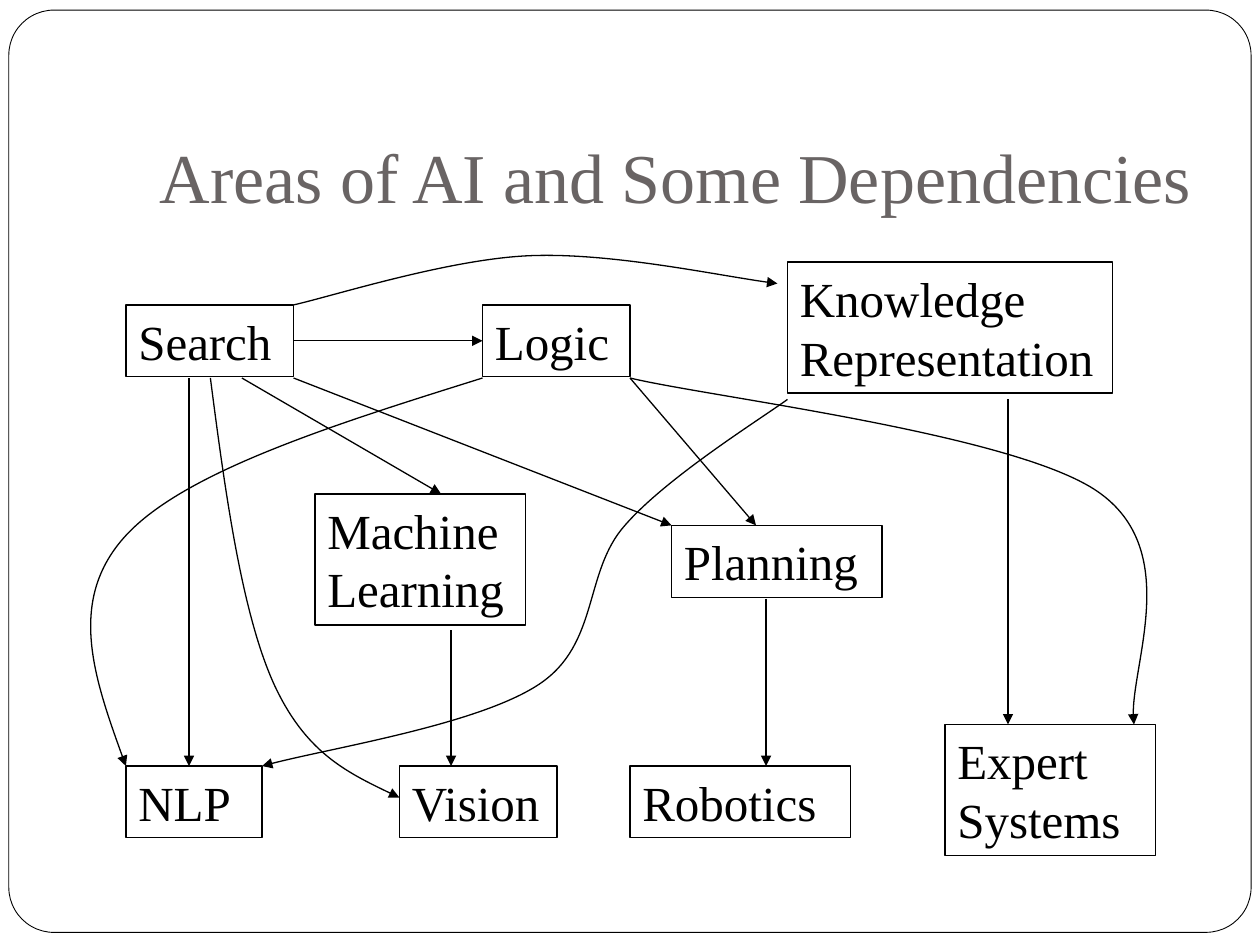
from pptx import Presentation
from pptx.dml.color import RGBColor
from pptx.enum.shapes import MSO_CONNECTOR, MSO_SHAPE
from pptx.enum.text import MSO_ANCHOR, MSO_AUTO_SIZE, PP_ALIGN
from pptx.oxml.ns import qn
from pptx.util import Inches, Pt
from lxml.etree import SubElement

FONT = "Times New Roman"
BLACK, WHITE, GRAY = "000000", "FFFFFF", "696464"
SHORT, TALL = 0.57, 1.04

# label: left, top, width, height
AREAS = {
    "Search": (1, 2.42, 1.33, SHORT),
    "Vision": (3.17, 6.08, 1.25, SHORT),
    "Planning": (5.33, 4.17, 1.67, SHORT),
    "Machine Learning": (2.5, 3.92, 1.67, TALL),
    "Knowledge Representation": (6.25, 2.08, 2.58, TALL),
    "Logic": (3.83, 2.42, 1.17, SHORT),
    "Expert Systems": (7.5, 5.75, 1.67, TALL),
    "Robotics": (5, 6.08, 1.75, SHORT),
    "NLP": (1, 6.08, 1.08, SHORT),
}

STRAIGHT = [
    ((1.5, 3), (1.5, 6.08)),      # Search to NLP
    ((2.33, 3), (5.33, 4.17)),    # Search to Planning
    ((1.92, 3), (3.5, 3.92)),     # Search to Machine Learning
    ((5, 3), (6, 4.17)),          # Logic to Planning
    ((8, 3.17), (8, 5.75)),       # Knowledge Representation to Expert Systems
    ((3.58, 5), (3.58, 6.08)),    # Machine Learning to Vision
    ((6.08, 4.75), (6.08, 6.08)), # Planning to Robotics
]

# start point, then three points for each Bezier segment
CURVES = [
    # Search to Knowledge Representation
    [(2.33, 2.42), (2.64, 2.35), (3.55, 2.06), (4.19, 2.03),
     (4.83, 2), (5.76, 2.2), (6.17, 2.25)],
    # Search to Vision
    [(1.67, 3), (1.79, 3.93), (1.92, 4.86), (2.17, 5.42),
     (2.42, 5.97), (2.79, 6.15), (3.17, 6.33)],
    # Logic to NLP
    [(3.83, 3), (2.65, 3.37), (1.47, 3.74), (1, 4.25),
     (0.53, 4.76), (0.76, 5.42), (1, 6.08)],
    # Logic to Expert Systems
    [(5, 3), (5.62, 3.15), (8.04, 3.44), (8.71, 3.9),
     (9.38, 4.36), (8.94, 5.36), (9, 5.75)],
    # Knowledge Representation to NLP
    [(6.25, 3.17), (6.03, 3.33), (5.29, 3.79), (4.96, 4.17),
     (4.63, 4.54), (4.76, 5.11), (4.28, 5.43),
     (3.8, 5.75), (2.54, 5.95), (2.08, 6.08)],
]


def rgb(color):
    return RGBColor.from_string(color)


def inches(values):
    return [Inches(v) for v in values]


def set_line(s, width):
    s.line.color.rgb = rgb(BLACK)
    s.line.width = Pt(width)


def write(s, text, size, color, anchor):
    tf = s.text_frame
    tf.word_wrap = True
    tf.vertical_anchor = anchor
    p = tf.paragraphs[0]
    p.alignment = PP_ALIGN.LEFT
    r = p.add_run()
    r.text = text
    r.font.name = FONT
    r.font.size = Pt(size)
    r.font.color.rgb = rgb(color)
    return tf


def add_frame(slide):
    s = slide.shapes.add_shape(MSO_SHAPE.ROUNDED_RECTANGLE,
                               *inches((0.07, 0.08, 9.86, 7.32)))
    s.adjustments[0] = 0.049
    s.shadow.inherit = False
    s.fill.solid()
    s.fill.fore_color.rgb = rgb(WHITE)
    set_line(s, 0.5)


def add_title(slide, text):
    s = slide.shapes.add_textbox(*inches((1.17, 0.23, 8.61, 1.6)))
    tf = write(s, text, 40, GRAY, MSO_ANCHOR.BOTTOM)
    tf.margin_bottom = Inches(0.1)


def add_area(slide, label, box):
    s = slide.shapes.add_shape(MSO_SHAPE.RECTANGLE, *inches(box))
    s.shadow.inherit = False
    s.fill.background()
    set_line(s, 0.75)
    tf = write(s, label, 28, BLACK, MSO_ANCHOR.TOP)
    tf.auto_size = MSO_AUTO_SIZE.SHAPE_TO_FIT_TEXT
    return s


def style_arrow(s):
    """Give a connector or curve its line and arrowhead, without shadow."""
    set_line(s, 0.75)
    sp_pr = s._element.spPr
    SubElement(sp_pr.find(qn("a:ln")), qn("a:tailEnd"), type="triangle")
    SubElement(sp_pr, qn("a:effectLst"))


def add_arrow(slide, start, end):
    s = slide.shapes.add_connector(MSO_CONNECTOR.STRAIGHT,
                                   *inches(start + end))
    style_arrow(s)
    return s


def add_curve(slide, points):
    """Draw a freeform whose line points become Bezier control points."""
    start, *rest = [inches(point) for point in points]
    builder = slide.shapes.build_freeform(*start)
    builder.add_line_segments(rest, close=False)
    s = builder.convert_to_shape()
    path = next(s._element.iter(qn("a:path")))
    lines = path.findall(qn("a:lnTo"))
    for i in range(0, len(lines), 3):
        bezier = SubElement(path, qn("a:cubicBezTo"))
        for line in lines[i:i + 3]:
            bezier.append(line[0])
            path.remove(line)
    s.fill.background()
    style_arrow(s)


def main():
    prs = Presentation()
    prs.slide_width, prs.slide_height = Inches(10), Inches(7.5)
    slide = prs.slides.add_slide(prs.slide_layouts[6])
    add_frame(slide)
    add_title(slide, "Areas of AI and Some Dependencies")
    areas = {label: add_area(slide, label, box)
             for label, box in AREAS.items()}

    search_to_logic = add_arrow(slide, (2.33, 2.7), (3.83, 2.7))
    search_to_logic.begin_connect(areas["Search"], 3)
    search_to_logic.end_connect(areas["Logic"], 1)
    for start, end in STRAIGHT:
        add_arrow(slide, start, end)
    for points in CURVES:
        add_curve(slide, points)
    prs.save("out.pptx")


if __name__ == "__main__":
    main()
